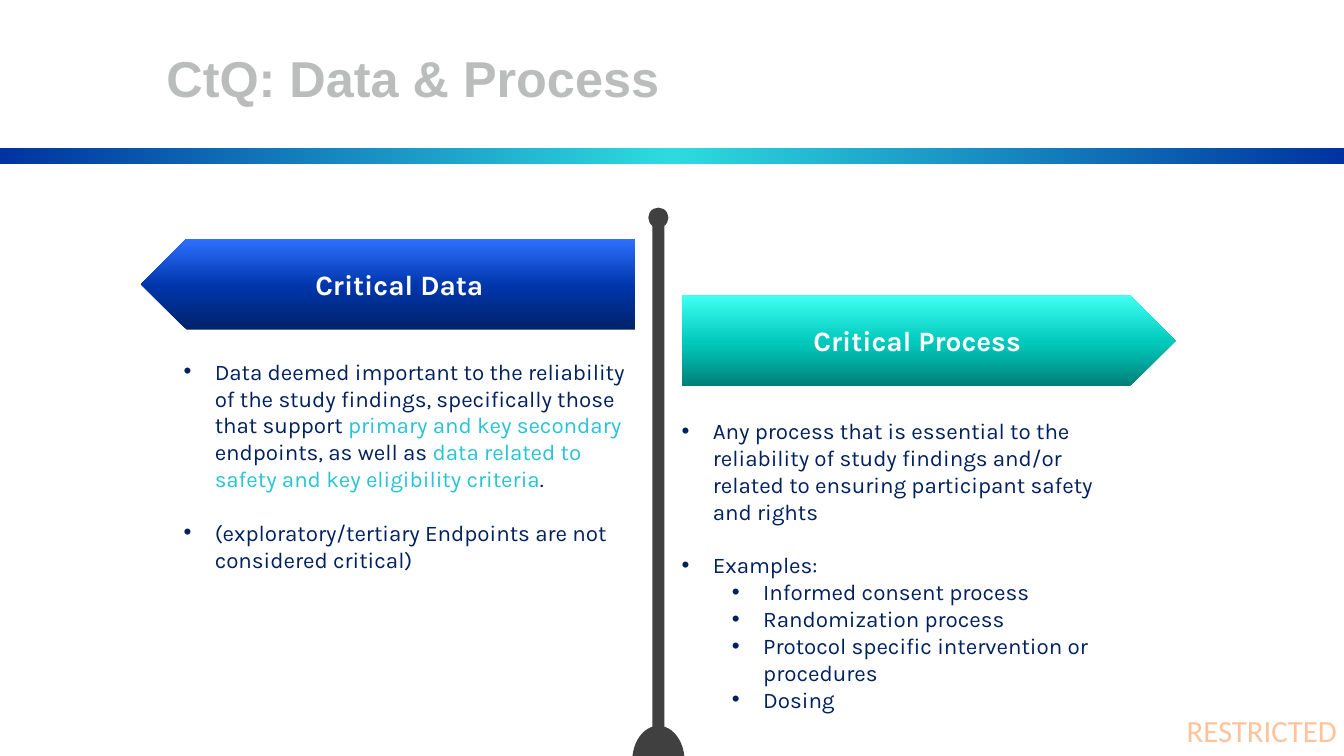
from lxml import etree
from pptx import Presentation
from pptx.dml.color import RGBColor
from pptx.enum.shapes import MSO_SHAPE as SHAPE
from pptx.enum.text import MSO_ANCHOR as ANCHOR, PP_ALIGN as ALIGN
from pptx.oxml import parse_xml
from pptx.oxml.ns import nsdecls, qn
from pptx.util import Inches, Pt

W, H = 13.33, 7.5
NAVY, CYAN, GREY, WHITE = "002060", "27C4D6", "404040", "FFFFFF"
TITLE = "CtQ: Data & Process"
LABEL = "RESTRICTED"
BAR_STOPS = [(0, "0033A0"), (50, "2DDBDF"), (100, "0033A0")]
POST_X = 6.53
POST = [
    (SHAPE.ROUNDED_RECTANGLE, 2.15, 0.12, 5.33, 0, [0.5]),
    (SHAPE.PIE, 7.2, 0.52, 0.7, 180, [0, 108.04]),
    (SHAPE.FLOWCHART_CONNECTOR, 2.06, 0.2, 0.2, 0, []),
]
SIGN_W, SIGN_H = 4.9, 0.9
SIGNS = [
    {
        "head": "Critical Data", "at": (1.4, 2.37), "flip": True,
        "stops": [(0, "00226B"), (48, "0036AB"), (100, "2D70FF")],
        "box": (1.82, 3.55, 4.49, 2.69),
        "points": [
            (0, 0, [
                ("Data deemed important to the reliability of the study findings, "
                 "specifically those that support ", NAVY),
                ("primary and key secondary ", CYAN),
                ("endpoints, as well as ", NAVY),
                ("data related to safety and key eligibility criteria", CYAN),
                (".", NAVY),
            ]),
            (0, 19, [("(exploratory/tertiary Endpoints are not considered critical)", NAVY)]),
        ],
    },
    {
        "head": "Critical Process", "at": (6.76, 2.93), "flip": False,
        "stops": [(0, "008078"), (48, "00C9BC"), (100, "40FFF3")],
        "box": (6.76, 4.14, 4.32, 2.96),
        "points": [
            (0, 0, [("Any process that is essential to the reliability of study findings "
                     "and/or related to ensuring participant safety and rights", NAVY)]),
            (0, 19, [("Examples:", NAVY)]),
            (1, 0, [("Informed consent process", NAVY)]),
            (1, 0, [("Randomization process", NAVY)]),
            (1, 0, [("Protocol specific intervention or procedures", NAVY)]),
            (1, 0, [("Dosing", NAVY)]),
        ],
    },
]


def rgb(color):
    return RGBColor.from_string(color)


def add_run(p, text, size, font, color, bold=False):
    r = p.add_run()
    r.text = text
    r.font.size, r.font.name, r.font.bold = Pt(size), font, bold
    r.font.color.rgb = rgb(color)
    return r


def set_frame(tf, x=0, y=0, anchor=ANCHOR.TOP, wrap=True):
    tf.margin_left = tf.margin_right = Inches(x)
    tf.margin_top = tf.margin_bottom = Inches(y)
    tf.vertical_anchor, tf.word_wrap = anchor, wrap
    return tf


def add_shape(s, kind, x, y, w, h, color=GREY):
    sp = s.shapes.add_shape(kind, *map(Inches, (x, y, w, h)))
    sp.shadow.inherit = False
    sp.fill.solid()
    sp.fill.fore_color.rgb = rgb(color)
    sp.line.fill.background()
    return sp


def set_gradient(sp, stops, angle):
    gs = "".join(f'<a:gs pos="{pos * 1000}"><a:srgbClr val="{color}"/></a:gs>'
                 for pos, color in stops)
    grad = parse_xml(f'<a:gradFill {nsdecls("a")} rotWithShape="1"><a:gsLst>{gs}</a:gsLst>'
                     f'<a:lin ang="{angle * 60000}" scaled="0"/></a:gradFill>')
    pr = sp.element.spPr
    pr.replace(pr.find(qn("a:solidFill")), grad)


def add_text(s, x, y, w, h, wrap=True):
    return set_frame(s.shapes.add_textbox(*map(Inches, (x, y, w, h))).text_frame, wrap=wrap)


def add_bullet(p, level):
    p.level = level
    pr = p._p.get_or_add_pPr()
    pr.set("marL", str(Inches(0.31 + 0.5 * level)))
    pr.set("indent", str(Inches(-0.31)))
    etree.SubElement(pr, qn("a:buFont")).set("typeface", "Arial")
    etree.SubElement(pr, qn("a:buChar")).set("char", "•")


def add_sign(s, sign):
    sp = add_shape(s, SHAPE.PENTAGON, *sign["at"], SIGN_W, SIGN_H)
    set_gradient(sp, sign["stops"], 270)
    if sign["flip"]:
        sp.element.spPr.find(qn("a:xfrm")).set("flipH", "1")
    p = set_frame(sp.text_frame, 0.1, 0.1, ANCHOR.MIDDLE).paragraphs[0]
    p.alignment = ALIGN.CENTER
    add_run(p, sign["head"], 20, "Karla", WHITE, True)

    tf = add_text(s, *sign["box"])
    for i, (level, gap, runs) in enumerate(sign["points"]):
        p = tf.add_paragraph() if i else tf.paragraphs[0]
        add_bullet(p, level)
        p.space_before = Pt(gap)
        for text, color in runs:
            add_run(p, text, 16, "Karla", color)


def main():
    prs = Presentation()
    prs.slide_width, prs.slide_height = Inches(W), Inches(H)
    s = prs.slides.add_slide(prs.slide_layouts[5])

    title = s.shapes.title
    title.left, title.top, title.width, title.height = map(Inches, (1.52, 0.14, 11.57, 1.25))
    p = set_frame(title.text_frame, 0.13, 0.07, ANCHOR.MIDDLE).paragraphs[0]
    p.alignment = ALIGN.LEFT
    add_run(p, TITLE, 36, "Arial", "BBBCBC", True)

    set_gradient(add_shape(s, SHAPE.RECTANGLE, 0, 1.47, W, 0.16), BAR_STOPS, 0)

    p = add_text(s, 11.77, 7.06, 1.57, 0.37, wrap=False).paragraphs[0]
    r = add_run(p, LABEL, 22, "Calibri", "FF8939")
    color = r._r.rPr.find(qn("a:solidFill"))[0]
    etree.SubElement(color, qn("a:alpha")).set("val", "50000")

    for kind, y, w, h, turn, adjust in POST:
        sp = add_shape(s, kind, POST_X - w / 2, y, w, h)
        sp.rotation = turn
        for i, value in enumerate(adjust):
            sp.adjustments[i] = value

    for sign in SIGNS:
        add_sign(s, sign)
    prs.save("out.pptx")


if __name__ == "__main__":
    main()
